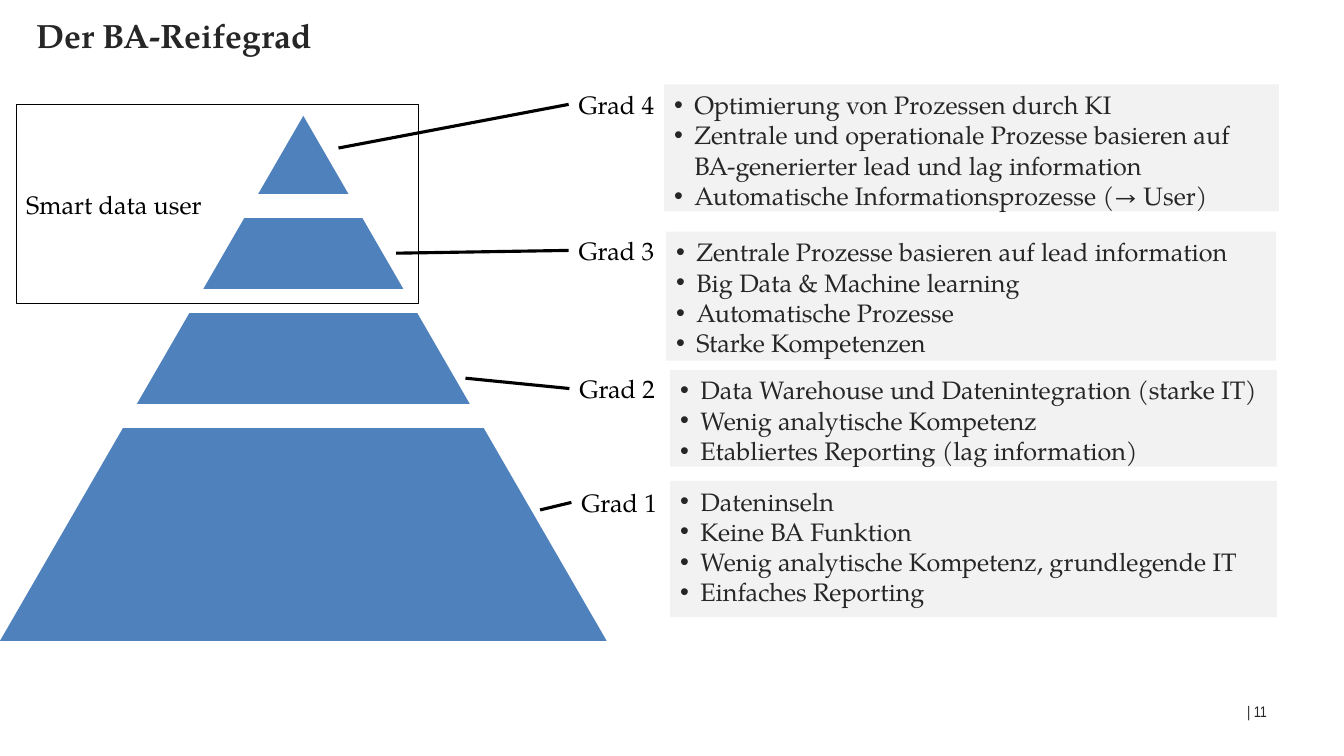
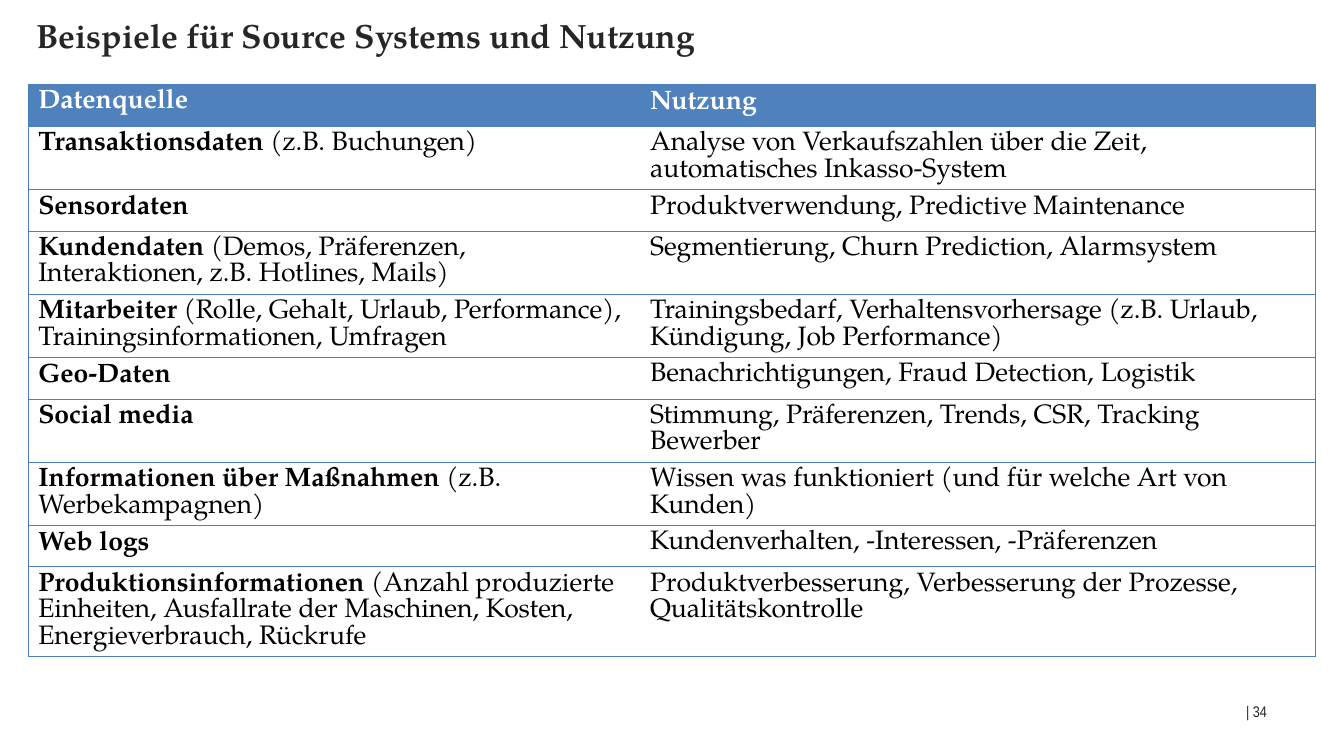
import pptx
import pptx.util
import pptx.dml.color
import pptx.enum.shapes
import pptx.enum.text
import pptx.oxml.ns
import lxml.etree

Cm, Pt = pptx.util.Cm, pptx.util.Pt
RGB = pptx.dml.color.RGBColor
SHAPE = pptx.enum.shapes.MSO_SHAPE
LINE = pptx.enum.shapes.MSO_CONNECTOR.STRAIGHT
ALIGN = pptx.enum.text.PP_ALIGN
ANCHOR = pptx.enum.text.MSO_ANCHOR
qn = pptx.oxml.ns.qn

# Shared style
FONT, SMALL = "TeX Gyre Pagella", "Arial Narrow"
BLACK, WHITE = RGB(0, 0, 0), RGB(255, 255, 255)
DARK, PALE = RGB(0x26, 0x26, 0x26), RGB(0xF2, 0xF2, 0xF2)
BLUE, EDGE = RGB(0x4F, 0x81, 0xBD), RGB(0x4B, 0x7E, 0xBC)

# Slide 1: label, label spot, line start, panel box, points (cm)
GRADES = [
    ("Grad 4", (14.33, 1.73), (8.53, 3.73), (16.74, 2.13, 15.49, 3.2), [
        "Optimierung von Prozessen durch KI",
        "Zentrale und operationale Prozesse basieren auf "
        "BA-generierter lead und lag information",
        "Automatische Informationsprozesse (→ User)"]),
    ("Grad 3", (14.33, 5.41), (9.98, 6.38), (16.79, 5.84, 15.37, 3.25), [
        "Zentrale Prozesse basieren auf lead information",
        "Big Data & Machine learning",
        "Automatische Prozesse",
        "Starke Kompetenzen"]),
    ("Grad 2", (14.35, 8.89), (11.73, 9.53), (16.89, 9.32, 15.29, 2.44), [
        "Data Warehouse und Datenintegration (starke IT)",
        "Wenig analytische Kompetenz",
        "Etabliertes Reporting (lag information)"]),
    ("Grad 1", (14.4, 11.76), (13.61, 12.85), (16.89, 12.12, 15.29, 3.43), [
        "Dateninseln",
        "Keine BA Funktion",
        "Wenig analytische Kompetenz, grundlegende IT",
        "Einfaches Reporting"]),
]
GAPS = [10.21, 7.32, 4.93]

# Slide 2: source (bold), detail, use
HEAD = ("Datenquelle", "Nutzung")
ROWS = [
    ("Transaktionsdaten", " (z.B. Buchungen)",
     "Analyse von Verkaufszahlen über die Zeit, automatisches Inkasso-System"),
    ("Sensordaten", "", "Produktverwendung, Predictive Maintenance"),
    ("Kundendaten",
     " (Demos, Präferenzen, Interaktionen, z.B. Hotlines, Mails)",
     "Segmentierung, Churn Prediction, Alarmsystem"),
    ("Mitarbeiter",
     " (Rolle, Gehalt, Urlaub, Performance), Trainingsinformationen, Umfragen",
     "Trainingsbedarf, Verhaltensvorhersage (z.B. Urlaub, Kündigung, "
     "Job Performance)"),
    ("Geo-Daten", "", "Benachrichtigungen, Fraud Detection, Logistik"),
    ("Social media", "",
     "Stimmung, Präferenzen, Trends, CSR, Tracking Bewerber"),
    ("Informationen über Maßnahmen", " (z.B. Werbekampagnen)",
     "Wissen was funktioniert (und für welche Art von Kunden)"),
    ("Web logs", "", "Kundenverhalten, -Interessen, -Präferenzen"),
    ("Produktionsinformationen",
     " (Anzahl produzierte Einheiten, Ausfallrate der Maschinen, Kosten, "
     "Energieverbrauch, Rückrufe",
     "Produktverbesserung, Verbesserung der Prozesse, Qualitätskontrolle"),
]
COLS = (15.42, 17.02)


def add_run(para, text, size, color, bold=False, font=FONT):
    run = para.add_run()
    run.text = text
    run.font.size, run.font.name = Pt(size), font
    run.font.bold, run.font.color.rgb = bold, color


def add_text(slide, box, text, size, color, font=FONT, align=ALIGN.LEFT):
    shape = slide.shapes.add_textbox(*map(Cm, box))
    frame = shape.text_frame
    frame.word_wrap, frame.vertical_anchor = True, ANCHOR.MIDDLE
    para = frame.paragraphs[0]
    para.alignment = align
    add_run(para, text, size, color, font=font)
    return shape


def add_shape(slide, kind, box, fill=None, line=None, width=0):
    shape = slide.shapes.add_shape(kind, *map(Cm, box))
    shape.shadow.inherit = False
    for part, color in ((shape.fill, fill), (shape.line.fill, line)):
        if color is None:
            part.background()
        else:
            part.solid()
            part.fore_color.rgb = color
    if line is not None:
        shape.line.width = Pt(width)
    return shape


def add_bullet(para):
    props = para._p.get_or_add_pPr()
    props.set("marL", str(Cm(0.51)))
    props.set("indent", str(-Cm(0.51)))
    lxml.etree.SubElement(props, qn("a:buFont"), typeface="Arial")
    lxml.etree.SubElement(props, qn("a:buChar"), char="•")


def add_slide(deck, title, page):
    slide = deck.slides.add_slide(deck.slide_layouts[5])
    head = slide.shapes.title
    head.left, head.top, head.width, head.height = map(
        Cm, (0.66, 0.25, 30.48, 1.27))
    frame = head.text_frame
    frame.word_wrap, frame.vertical_anchor = True, ANCHOR.TOP
    frame.auto_size = pptx.enum.text.MSO_AUTO_SIZE.NONE
    para = frame.paragraphs[0]
    para.alignment = ALIGN.LEFT
    add_run(para, title, 24, DARK, True)
    add_text(slide, (24.28, 17.42, 7.9, 1.02), f"| {page}", 11, DARK,
             SMALL, ALIGN.RIGHT)
    return slide


def add_grade(slide, name, spot, start, box, points):
    # Panel with bullets
    panel = add_shape(slide, SHAPE.RECTANGLE, box, PALE)
    frame = panel.text_frame
    frame.vertical_anchor = ANCHOR.TOP
    for i, point in enumerate(points):
        para = frame.add_paragraph() if i else frame.paragraphs[0]
        para.alignment = ALIGN.LEFT
        add_bullet(para)
        add_run(para, point, 18, DARK)
    # Label and its line to the pyramid
    label = add_text(slide, (*spot, 2.82, 1.8), name, 18, BLACK)
    line = slide.shapes.add_connector(LINE, *map(Cm, start + spot))
    line.end_connect(label, 1)
    line.line.color.rgb, line.line.width = BLACK, Pt(2.25)
    lxml.etree.SubElement(line._element.spPr, qn("a:effectLst"))


def set_edges(cell, sides):
    props = cell._tc.get_or_add_tcPr()
    for side in "LRTB":
        edge = lxml.etree.SubElement(props, qn(f"a:ln{side}"))
        if side in sides:
            edge.set("w", str(Pt(0.75)))
            fill = lxml.etree.SubElement(edge, qn("a:solidFill"))
            lxml.etree.SubElement(fill, qn("a:srgbClr"), val=str(EDGE))
        else:
            edge.set("w", "0")
            lxml.etree.SubElement(edge, qn("a:noFill"))


def fill_cell(cell, side, fill, color, runs, tight=True):
    set_edges(cell, side + "TB")
    cell.fill.solid()
    cell.fill.fore_color.rgb = fill
    para = cell.text_frame.paragraphs[0]
    if tight:
        para.line_spacing = Pt(19)
    for text, bold in runs:
        if text:
            add_run(para, text, 19, color, bold)


def draw_levels(deck):
    slide = add_slide(deck, "Der BA-Reifegrad", 11)
    # Pyramid cut by white bands
    add_shape(slide, SHAPE.ISOSCELES_TRIANGLE, (0, 2.92, 15.29, 13.23), BLUE)
    for top in GAPS:
        add_shape(slide, SHAPE.RECTANGLE, (0.41, top, 14.35, 0.53),
                  WHITE, WHITE, 2)
    # Frame around the top levels
    user = add_shape(slide, SHAPE.RECTANGLE, (0.41, 2.64, 10.13, 5),
                     None, BLACK, 0.75)
    user.text_frame.vertical_anchor = ANCHOR.MIDDLE
    para = user.text_frame.paragraphs[0]
    para.alignment = ALIGN.LEFT
    add_run(para, "Smart data user", 18, BLACK)
    for grade in GRADES:
        add_grade(slide, *grade)


def draw_sources(deck):
    slide = add_slide(deck, "Beispiele für Source Systems und Nutzung", 34)
    count, high = len(ROWS) + 1, 1.04
    table = slide.shapes.add_table(
        count, 2, Cm(0.71), Cm(2.13), Cm(sum(COLS)), Cm(high * count)).table
    table.horz_banding = False
    for col, width in zip(table.columns, COLS):
        col.width = Cm(width)
    for row in table.rows:
        row.height = Cm(high)
    # Header row, then one row per source
    for i, text in enumerate(HEAD):
        fill_cell(table.cell(0, i), "LR"[i], BLUE, WHITE, [(text, True)], i > 0)
    for i, (name, detail, use) in enumerate(ROWS, 1):
        fill_cell(table.cell(i, 0), "L", WHITE, BLACK,
                  [(name, True), (detail, False)])
        fill_cell(table.cell(i, 1), "R", WHITE, BLACK, [(use, False)])


def main():
    deck = pptx.Presentation()
    deck.slide_width, deck.slide_height = Cm(33.87), Cm(19.05)
    draw_levels(deck)
    draw_sources(deck)
    deck.save("out.pptx")


if __name__ == "__main__":
    main()
